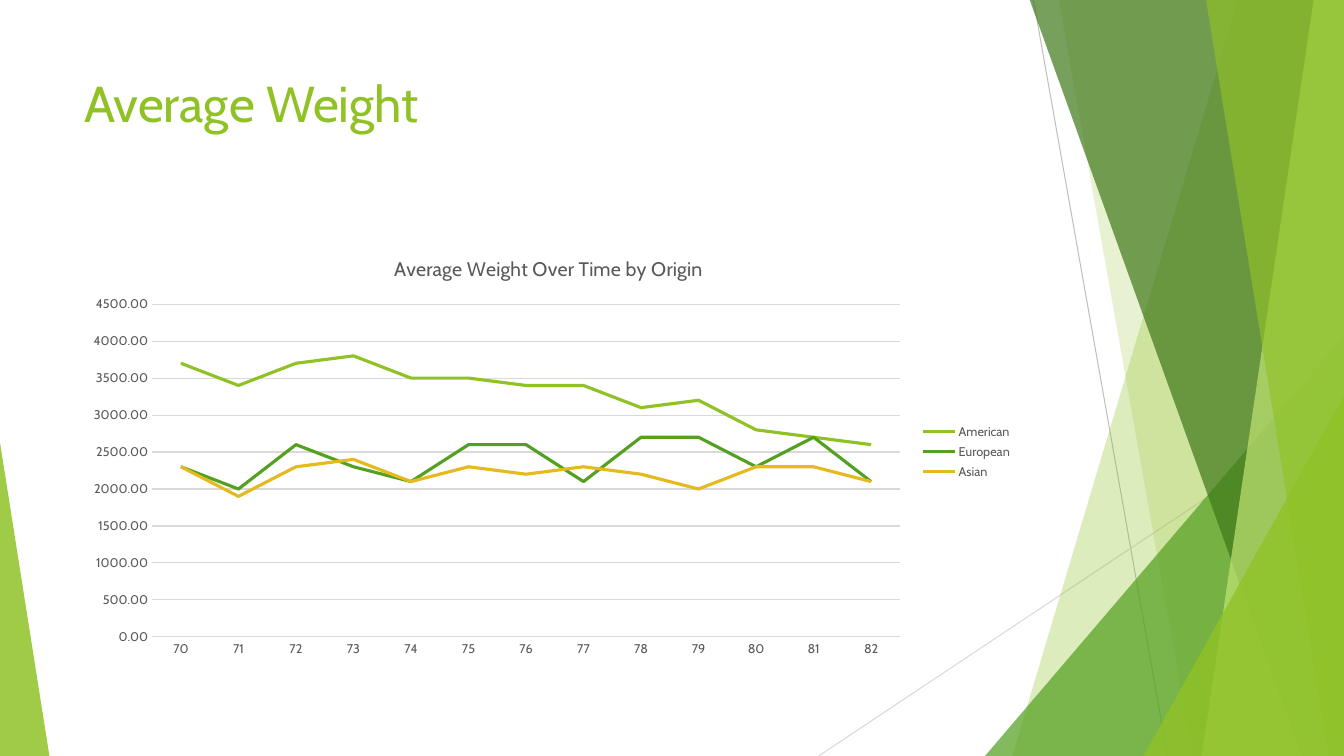
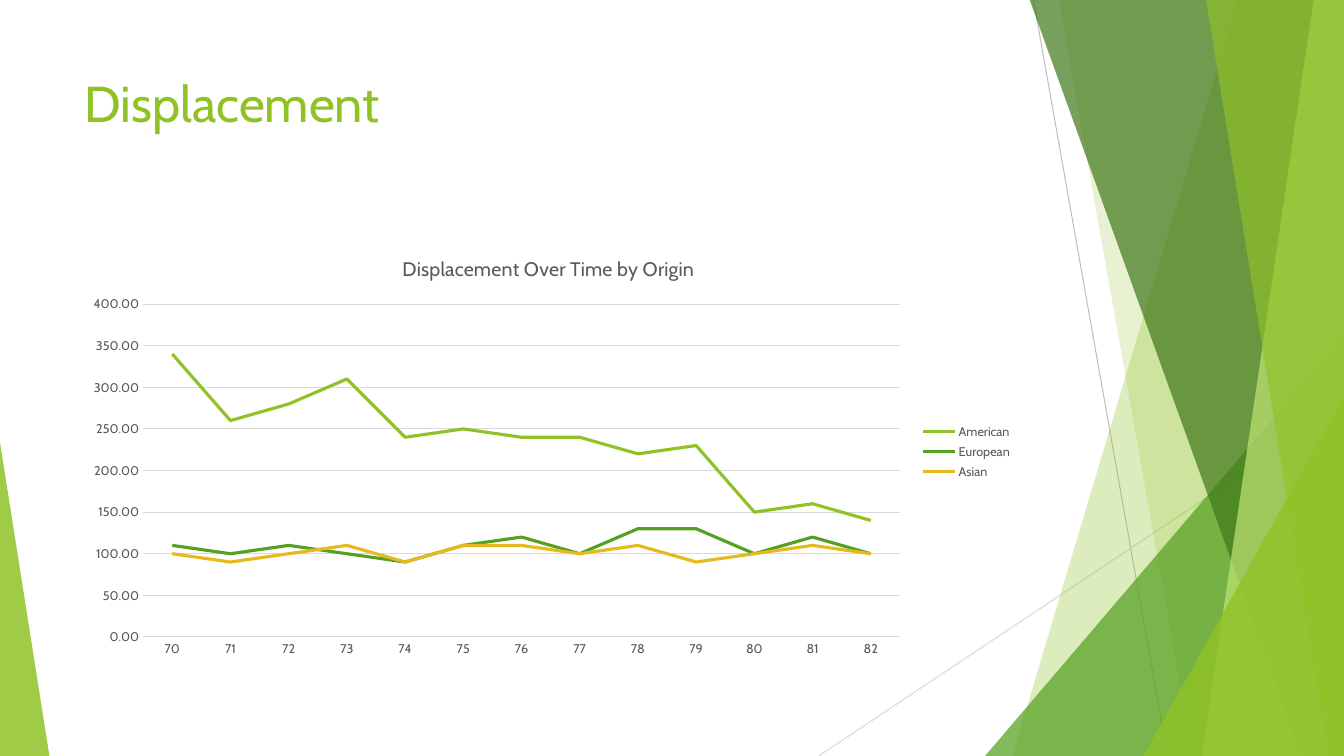
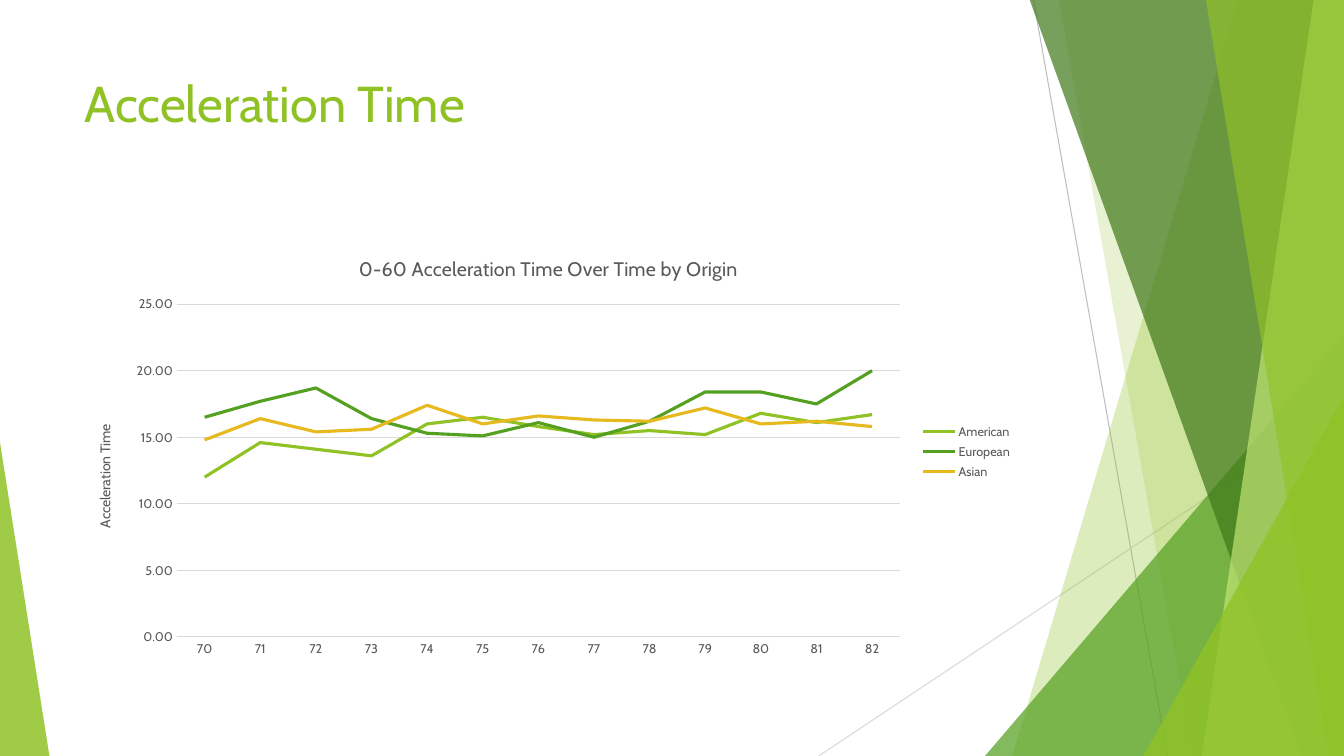
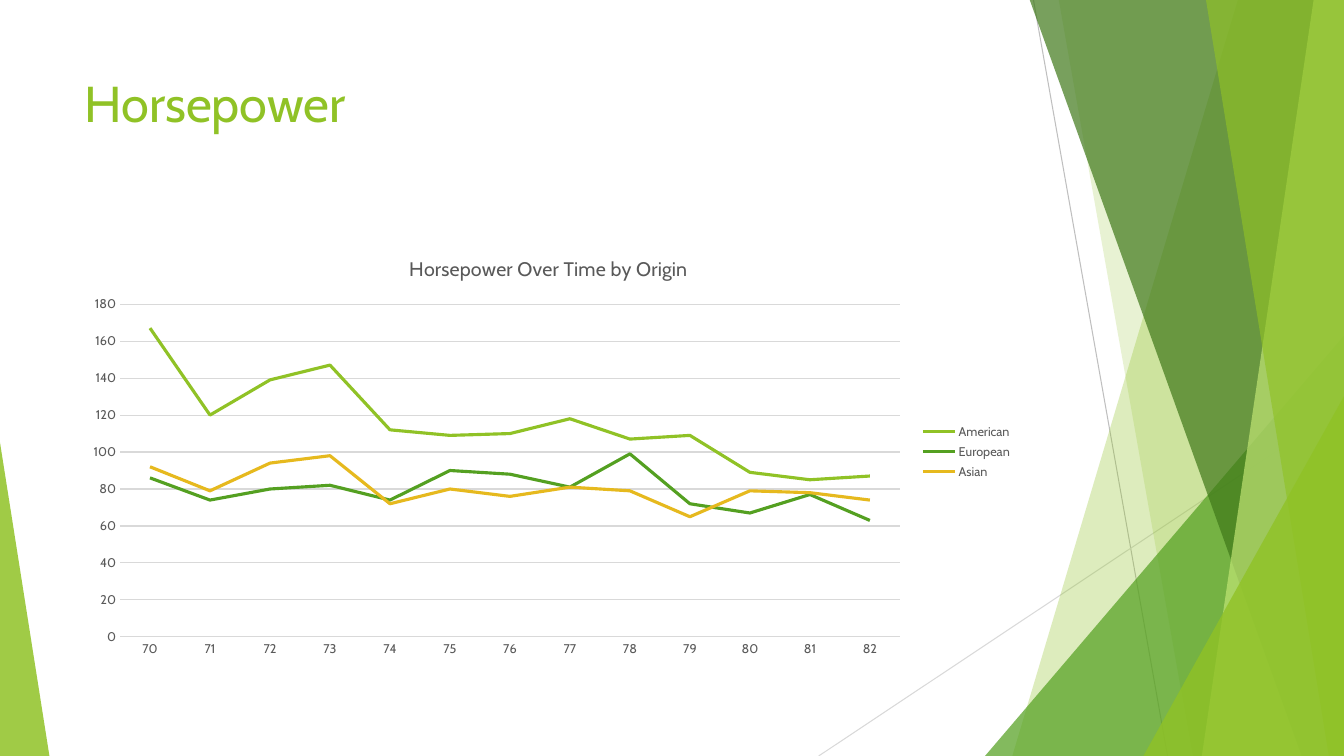
from dataclasses import dataclass

from lxml import etree
from pptx import Presentation, util as u
from pptx.chart import data as chart_data
from pptx.dml import color
from pptx.enum import chart as ec, shapes, text
from pptx.oxml import ns


@dataclass(frozen=True)
class Theme:
    """Colours, font and type sizes shared by every slide."""
    lime: str = "90C226"
    green: str = "54A021"
    forest: str = "3F7819"
    pale: str = "C0E474"
    gold: str = "E6B91E"
    grey: str = "595959"
    rule: str = "D9D9D9"
    dark_rule: str = "BFBFBF"
    font: str = "Cabin"
    title_size: int = 36
    chart_title_size: int = 14
    axis_title_size: int = 10
    label_size: int = 9
    series_width: float = 2.25
    rule_width: float = 0.75


THEME = Theme()
WIDTH, HEIGHT, BLEED = 13.33, 7.5, -0.01
LEFT, CONTENT_WIDTH = 0.74, 9.4

RAYS = [
    ((10.25, 0), (11.58, HEIGHT), THEME.dark_rule),
    ((WIDTH, 4.03), (8.12, HEIGHT), THEME.rule),
]
BACK_SHARDS = [(12.28, 10.04, THEME.lime, 30), (10.5, 11.83, THEME.lime, 20)]
FRONT_SHARDS = [
    (10.21, 12.91, THEME.forest, 70),
    (13.03, 11.92, THEME.pale, 70),
    (11.96, 13.18, THEME.lime, 65),
]
MIDDLE_PEAK = (9.77, 3.33, 3.56, 1, THEME.green, 72)
FRONT_PEAKS = [
    (11.34, 3.93, 1.99, 1, THEME.lime, 80),
    (0, 4.39, 0.49, 0, THEME.lime, 85),
]

YEARS = [str(year) for year in range(70, 83)]
ORIGINS = {"American": THEME.lime, "European": THEME.green, "Asian": THEME.gold}

TOPICS = [
    dict(
        title="Average Weight", heading="Average Weight Over Time by Origin",
        top=4500, step=500, number_format="0.00",
        values=[
            [3700, 3400, 3700, 3800, 3500, 3500, 3400, 3400, 3100, 3200, 2800, 2700, 2600],
            [2300, 2000, 2600, 2300, 2100, 2600, 2600, 2100, 2700, 2700, 2300, 2700, 2100],
            [2300, 1900, 2300, 2400, 2100, 2300, 2200, 2300, 2200, 2000, 2300, 2300, 2100],
        ]),
    dict(
        title="Displacement", heading="Displacement Over Time by Origin",
        top=400, step=50, number_format="0.00",
        values=[
            [340, 260, 280, 310, 240, 250, 240, 240, 220, 230, 150, 160, 140],
            [110, 100, 110, 100, 90, 110, 120, 100, 130, 130, 100, 120, 100],
            [100, 90, 100, 110, 90, 110, 110, 100, 110, 90, 100, 110, 100],
        ]),
    dict(
        title="Acceleration Time", heading="0-60 Acceleration Time Over Time by Origin",
        top=25, step=5, number_format="0.00", axis_heading="Acceleration Time",
        values=[
            [12, 14.6, 14.1, 13.6, 16, 16.5, 15.8, 15.2, 15.5, 15.2, 16.8, 16.1, 16.7],
            [16.5, 17.7, 18.7, 16.4, 15.3, 15.1, 16.1, 15, 16.2, 18.4, 18.4, 17.5, 20],
            [14.8, 16.4, 15.4, 15.6, 17.4, 16, 16.6, 16.3, 16.2, 17.2, 16, 16.2, 15.8],
        ]),
    dict(
        title="Horsepower", heading="Horsepower Over Time by Origin",
        top=180, step=20, number_format="0",
        values=[
            [167, 120, 139, 147, 112, 109, 110, 118, 107, 109, 89, 85, 87],
            [86, 74, 80, 82, 74, 90, 88, 81, 99, 72, 67, 77, 63],
            [92, 79, 94, 98, 72, 80, 76, 81, 79, 65, 79, 78, 74],
        ]),
]


def assign(target, **values):
    """Set each named attribute on the target."""
    for name, value in values.items():
        setattr(target, name, value)


def style_font(font, size, hue):
    """Give a font the theme typeface, a size and a colour."""
    assign(font, name=THEME.font, size=u.Pt(size), bold=False)
    font.color.rgb = color.RGBColor.from_string(hue)


def style_line(line, hue, width):
    """Give a line a colour and a width in points."""
    line.color.rgb = color.RGBColor.from_string(hue)
    line.width = u.Pt(width)


def tint(shape, hue, opacity):
    """Fill a shape with a translucent colour, without outline or shadow."""
    shape.shadow.inherit = False
    shape.line.fill.background()
    shape.fill.solid()
    shape.fill.fore_color.rgb = color.RGBColor.from_string(hue)
    fill_color = shape.element.spPr.find(".//" + ns.qn("a:srgbClr"))
    etree.SubElement(fill_color, ns.qn("a:alpha"), val=str(opacity * 1000))


def add_ray(slide, start, end, hue):
    """Draw a thin straight line between two points."""
    ray = slide.shapes.add_connector(
        shapes.MSO_CONNECTOR.STRAIGHT, *(u.Inches(n) for n in start + end))
    style_line(ray.line, hue, THEME.rule_width)
    etree.SubElement(ray.element.spPr, ns.qn("a:effectLst"))


def add_shard(slide, top_left, bottom_left, hue, opacity):
    """Draw a full-height shard with a slanted left edge."""
    corners = [(top_left, BLEED), (WIDTH, BLEED), (WIDTH, HEIGHT), (bottom_left, HEIGHT)]
    first, *others = [(u.Inches(x), u.Inches(y)) for x, y in corners]
    outline = slide.shapes.build_freeform(*first)
    outline.add_line_segments(others, close=True)
    tint(outline.convert_to_shape(), hue, opacity)


def add_peak(slide, left, top, width, apex, hue, opacity):
    """Draw a triangle that stands on the bottom edge of the slide."""
    peak = slide.shapes.add_shape(
        shapes.MSO_SHAPE.ISOSCELES_TRIANGLE,
        *(u.Inches(n) for n in (left, top, width, HEIGHT - top)))
    peak.adjustments[0] = apex
    tint(peak, hue, opacity)


def add_backdrop(slide):
    """Draw the shared facets from back to front."""
    for ray in RAYS:
        add_ray(slide, *ray)
    for shard in BACK_SHARDS:
        add_shard(slide, *shard)
    add_peak(slide, *MIDDLE_PEAK)
    for shard in FRONT_SHARDS:
        add_shard(slide, *shard)
    for peak in FRONT_PEAKS:
        add_peak(slide, *peak)


def add_title(slide, wording):
    """Add the slide title."""
    title = slide.shapes.add_textbox(
        *(u.Inches(n) for n in (LEFT, 0.67, CONTENT_WIDTH, 1.44)))
    assign(title.text_frame, word_wrap=True, vertical_anchor=text.MSO_ANCHOR.TOP)
    run = title.text_frame.paragraphs[0].add_run()
    run.text = wording
    style_font(run.font, THEME.title_size, THEME.lime)


def add_heading(owner_title, wording, size):
    """Write a chart or axis title."""
    run = owner_title.text_frame.paragraphs[0].add_run()
    run.text = wording
    style_font(run.font, size, THEME.grey)


def style_axes(chart, topic):
    """Set the scale, labels, lines and optional title of the axes."""
    years, scale = chart.category_axis, chart.value_axis
    for axis in (years, scale):
        assign(axis, major_tick_mark=ec.XL_TICK_MARK.NONE,
               minor_tick_mark=ec.XL_TICK_MARK.NONE)
        style_font(axis.tick_labels.font, THEME.label_size, THEME.grey)
    style_line(years.format.line, THEME.rule, THEME.rule_width)
    assign(scale, minimum_scale=0, maximum_scale=topic["top"],
           major_unit=topic["step"], has_major_gridlines=True)
    assign(scale.tick_labels, number_format=topic["number_format"],
           number_format_is_linked=False)
    scale.format.line.fill.background()
    style_line(scale.major_gridlines.format.line, THEME.rule, THEME.rule_width)
    if "axis_heading" in topic:
        add_heading(scale.axis_title, topic["axis_heading"], THEME.axis_title_size)


def add_trend_chart(slide, topic):
    """Add the line chart that compares the origins by year."""
    trends = chart_data.CategoryChartData()
    trends.categories = YEARS
    for origin, values in zip(ORIGINS, topic["values"]):
        trends.add_series(origin, values)
    chart = slide.shapes.add_chart(
        ec.XL_CHART_TYPE.LINE,
        *(u.Inches(n) for n in (LEFT, 2.36, CONTENT_WIDTH, 4.24)), trends).chart
    style_font(chart.font, THEME.label_size, THEME.grey)
    add_heading(chart.chart_title, topic["heading"], THEME.chart_title_size)
    chart.chart_title.include_in_layout = False
    chart.has_legend = True
    assign(chart.legend, position=ec.XL_LEGEND_POSITION.RIGHT, include_in_layout=False)
    style_font(chart.legend.font, THEME.label_size, THEME.grey)
    style_axes(chart, topic)
    plot = chart.plots[0]
    plot.vary_by_categories = False
    for trend, hue in zip(plot.series, ORIGINS.values()):
        trend.smooth = False
        trend.marker.style = ec.XL_MARKER_STYLE.NONE
        style_line(trend.format.line, hue, THEME.series_width)


def main():
    """Build and save the presentation."""
    deck = Presentation()
    assign(deck, slide_width=u.Inches(WIDTH), slide_height=u.Inches(HEIGHT))
    for topic in TOPICS:
        slide = deck.slides.add_slide(deck.slide_layouts[6])
        add_backdrop(slide)
        add_title(slide, topic["title"])
        add_trend_chart(slide, topic)
    deck.save("out.pptx")


main()
